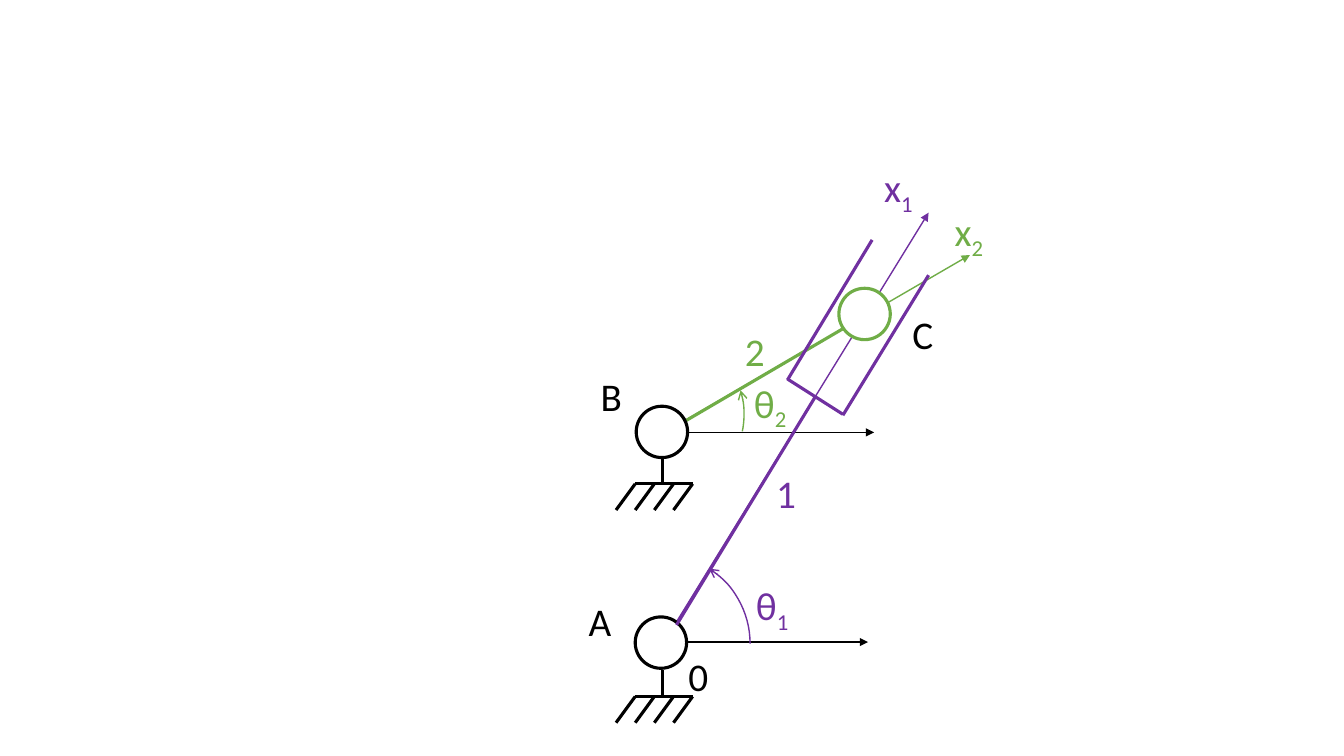
from dataclasses import dataclass

from lxml.etree import SubElement
from pptx import Presentation
from pptx.dml.color import RGBColor
from pptx.enum.shapes import MSO_CONNECTOR, MSO_SHAPE
from pptx.enum.text import MSO_AUTO_SIZE
from pptx.oxml.ns import qn
from pptx.util import Emu, Pt


@dataclass(frozen=True)
class Theme:
    """Colours, font and sizes of the linkage diagram."""
    frame: RGBColor = RGBColor(0x00, 0x00, 0x00)
    crank: RGBColor = RGBColor(0x70, 0x30, 0xA0)
    rocker: RGBColor = RGBColor(0x70, 0xAD, 0x47)
    paper: RGBColor = RGBColor(0xFF, 0xFF, 0xFF)
    font: str = "Calibri"
    label_size: float = 28
    thin: float = 1
    thick: float = 2.25


def px(length):
    """Turn px, a hundred to the inch, into EMU."""
    return Emu(length * 9144)


class LinkageSlide:
    """Draws the parts of a linkage on one slide."""

    def __init__(self, slide, theme):
        """Keep the slide and its theme."""
        self.slide = slide
        self.theme = theme

    def stroke(self, shape, color, width, **ends):
        """Style an outline and add arrowheads given by end name."""
        shape.line.color.rgb = color
        shape.line.width = Pt(width)
        outline = shape._element.spPr.find(qn("a:ln"))
        for end, kind in ends.items():
            SubElement(outline, qn(f"a:{end}"), type=kind)

    def line(self, start, end, color, width, parent=None, **ends):
        """Draw a straight line on the slide or in a group."""
        shapes = (parent or self.slide).shapes
        connector = shapes.add_connector(
            MSO_CONNECTOR.STRAIGHT, *map(px, (*start, *end)))
        self.stroke(connector, color, width, **ends)
        SubElement(connector._element.spPr, qn("a:effectLst"))

    def axis(self, start, end, color):
        """Draw a thin axis with an arrowhead."""
        self.line(start, end, color, self.theme.thin, tailEnd="triangle")

    def bars(self, segments, color):
        """Draw thick segments as one group."""
        group = self.slide.shapes.add_group_shape()
        for start, end in segments:
            self.line(start, end, color, self.theme.thick, group)

    def ground(self, x, y):
        """Draw a hatched ground support below a pin."""
        bar = y + 26
        hatches = [((x - 27 + 19 * i, bar), (x - 46 + 19 * i, bar + 26))
                   for i in range(4)]
        self.bars([((x, y), (x, bar)), ((x + 30, bar), (x - 27, bar)),
                   *hatches], self.theme.frame)

    def joint(self, left, top, color):
        """Draw a pin joint."""
        circle = self.slide.shapes.add_shape(
            MSO_SHAPE.OVAL, *map(px, (left, top, 51, 51)))
        circle.shadow.inherit = False
        circle.fill.solid()
        circle.fill.fore_color.rgb = self.theme.paper
        self.stroke(circle, color, self.theme.thick)

    def angle(self, left, top, size, degrees, color):
        """Draw an angle arc between two directions in degrees."""
        arc = self.slide.shapes.add_shape(
            MSO_SHAPE.ARC, *map(px, (left, top, size, size)))
        arc.shadow.inherit = False
        arc.fill.background()
        for index, degree in enumerate(degrees):
            arc.adjustments[index] = degree * 0.6
        self.stroke(arc, color, self.theme.thin, headEnd="arrow")

    def label(self, left, top, width, color, text, subscript=""):
        """Write a label with an optional subscript."""
        box = self.slide.shapes.add_textbox(*map(px, (left, top, width, 57)))
        frame = box.text_frame
        frame.word_wrap = False
        frame.auto_size = MSO_AUTO_SIZE.SHAPE_TO_FIT_TEXT
        frame.text = text
        paragraph = frame.paragraphs[0]
        if subscript:
            run = paragraph.add_run()
            run.text = subscript
            run._r.get_or_add_rPr().set("baseline", "-25000")
        for run in paragraph.runs:
            run.font.name = self.theme.font
            run.font.size = Pt(self.theme.label_size)
            run.font.color.rgb = color


def main():
    """Build and save the linkage slide."""
    presentation = Presentation()
    presentation.slide_width, presentation.slide_height = px(1333), px(750)
    theme = Theme()
    frame, crank, rocker = theme.frame, theme.crank, theme.rocker
    slide = presentation.slides.add_slide(presentation.slide_layouts[6])
    linkage = LinkageSlide(slide, theme)

    for start, end, color in (
        ((657, 429), (867, 429), frame),
        ((651, 637), (861, 637), frame),
        ((658, 638), (921, 211), crank),
        ((657, 430), (962, 253), rocker),
    ):
        linkage.axis(start, end, color)
    linkage.line((855, 315), (657, 431), rocker, theme.thick)

    linkage.ground(657, 454)
    linkage.ground(657, 665)
    linkage.joint(630, 612, frame)
    linkage.joint(631, 403, frame)
    linkage.joint(832, 286, rocker)

    for label in (
        (937, 201, 51, rocker, "x", "2"),
        (867, 157, 51, crank, "x", "1"),
        (574, 588, 43, frame, "A"),
        (586, 364, 41, frame, "B"),
        (895, 303, 41, frame, "C"),
        (673, 642, 40, frame, "0"),
        (760, 461, 40, crank, "1"),
        (729, 320, 40, rocker, "2"),
        (740, 572, 63, crank, "θ", "1"),
        (738, 371, 63, rocker, "θ", "2"),
    ):
        linkage.label(*label)

    linkage.angle(567, 550, 177, (302.95, 0), crank)
    linkage.angle(570, 327, 168, (343.55, 11.61), rocker)
    linkage.bars([
        ((809, 393), (671, 620)),
        ((865, 238), (781, 377)),
        ((836, 411), (781, 376)),
        ((921, 273), (836, 412)),
    ], crank)
    presentation.save("out.pptx")


if __name__ == "__main__":
    main()
